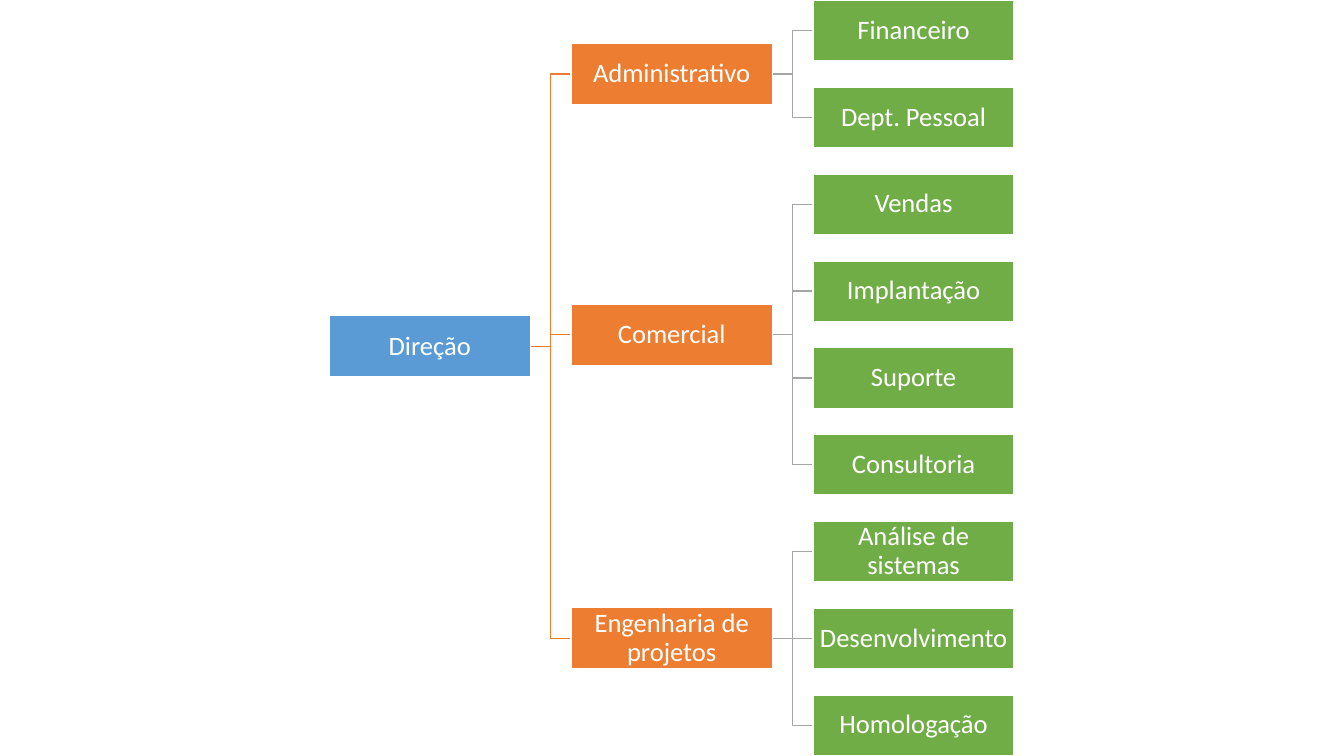
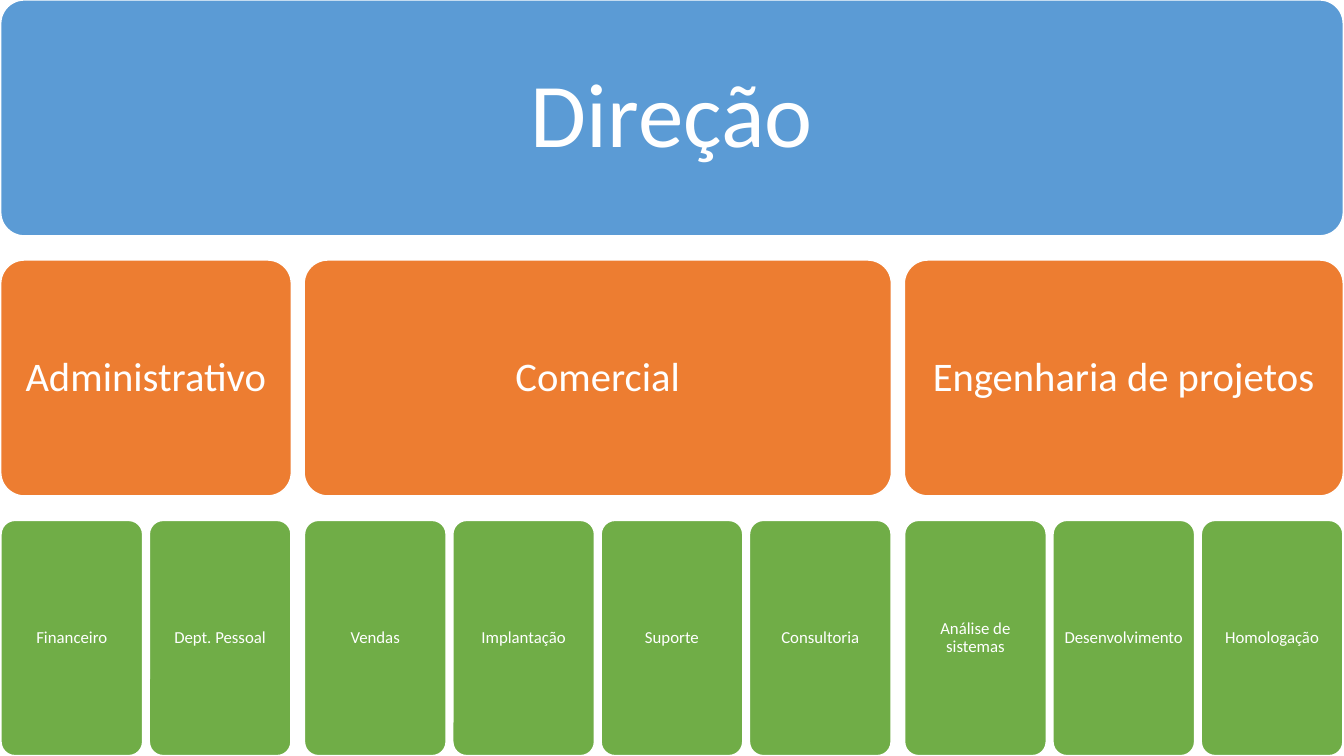
from lxml import etree
from pptx import Presentation
from pptx.dml.color import RGBColor
from pptx.enum.shapes import MSO_CONNECTOR, MSO_SHAPE
from pptx.enum.text import MSO_ANCHOR, PP_ALIGN
from pptx.oxml.ns import qn
from pptx.util import Pt

RECTANGLE, ROUNDED = MSO_SHAPE.RECTANGLE, MSO_SHAPE.ROUNDED_RECTANGLE
ELBOW, STRAIGHT = MSO_CONNECTOR.ELBOW, MSO_CONNECTOR.STRAIGHT
MIDDLE, CENTER = MSO_ANCHOR.MIDDLE, PP_ALIGN.CENTER

# Content
ROOT = "Direção"
BRANCHES = [
    ("Administrativo", ["Financeiro", "Dept. Pessoal"]),
    ("Comercial", ["Vendas", "Implantação", "Suporte", "Consultoria"]),
    ("Engenharia de projetos",
     ["Análise de sistemas", "Desenvolvimento", "Homologação"]),
]
LEAF_COUNT = sum(len(leaves) for _, leaves in BRANCHES)

# Shared style
FONT = "Calibri"
BLUE = RGBColor(0x5B, 0x9B, 0xD5)
ORANGE = RGBColor(0xED, 0x7D, 0x31)
GREEN = RGBColor(0x70, 0xAD, 0x47)
GRAY = RGBColor(0xA5, 0xA5, 0xA5)
WHITE = RGBColor(0xFF, 0xFF, 0xFF)
LEVEL_FILLS = [BLUE, ORANGE, GREEN]
LEVEL_OUTLINES = [1, 1, 1.5]
SLIDE_WIDTH, SLIDE_HEIGHT = 960, 540

# Tree measures
TREE_LEFT, LEVEL_PITCH = 235, 172.8
BOX_WIDTH, BOX_HEIGHT = 144, 43.9
LEAF_PITCH = (SLIDE_HEIGHT - BOX_HEIGHT) / (LEAF_COUNT - 1)
ROOT_TOP = 225.5
TREE_SIZE, TREE_INSET = 19, 0.7

# Block measures
BLOCK_LEFT, BLOCK_WIDTH, ROW_HEIGHT = 0.5, 959, 168.5
ROW_PITCH = (SLIDE_HEIGHT - ROW_HEIGHT) / 2
LEAF_GAP, BRANCH_GAP = 4.3, 9.2
BRANCH_GAPS = len(BRANCHES) - 1
LEAF_GAPS = LEAF_COUNT - len(BRANCHES)
LEAF_WIDTH = (BLOCK_WIDTH - LEAF_GAPS * LEAF_GAP
              - BRANCH_GAPS * BRANCH_GAP) / LEAF_COUNT
BLOCK_SIZES = [65, 29, 12]
BLOCK_INSETS = [19.4, 8.6, 3.6]
CORNER = 0.1


def write_text(shape, text, *, size, inset):
    frame = shape.text_frame
    frame.word_wrap = True
    frame.vertical_anchor = MIDDLE
    frame.margin_left = frame.margin_right = Pt(inset)
    frame.margin_top = frame.margin_bottom = Pt(inset)
    paragraph = frame.paragraphs[0]
    paragraph.alignment = CENTER
    paragraph.line_spacing = 0.9
    run = paragraph.add_run()
    run.text = text
    run.font.name = FONT
    run.font.size = Pt(size)
    run.font.color.rgb = WHITE


def add_box(slide, kind, level, text, left, top, width, height, *, size, inset):
    shape = slide.shapes.add_shape(kind, Pt(left), Pt(top), Pt(width), Pt(height))
    shape.shadow.inherit = False
    shape.fill.solid()
    shape.fill.fore_color.rgb = LEVEL_FILLS[level]
    shape.line.color.rgb = WHITE
    shape.line.width = Pt(LEVEL_OUTLINES[level])
    write_text(shape, text, size=size, inset=inset)
    return shape


def add_tree_box(slide, level, text, top):
    return add_box(slide, RECTANGLE, level, text, TREE_LEFT + level * LEVEL_PITCH,
                   top, BOX_WIDTH, BOX_HEIGHT, size=TREE_SIZE, inset=TREE_INSET)


def add_block(slide, level, text, left, width):
    shape = add_box(slide, ROUNDED, level, text, left, level * ROW_PITCH, width,
                    ROW_HEIGHT, size=BLOCK_SIZES[level], inset=BLOCK_INSETS[level])
    shape.adjustments[0] = CORNER


def join(slide, parent, child, color):
    """Link the right side of the parent to the left side of the child."""
    aligned = abs(parent.top - child.top) < Pt(0.1)
    connector = slide.shapes.add_connector(STRAIGHT if aligned else ELBOW, 0, 0, 0, 0)
    connector.begin_connect(parent, 3)
    connector.end_connect(child, 1)
    connector.line.color.rgb = color
    connector.line.width = Pt(1)
    etree.SubElement(connector._element.spPr, qn("a:effectLst"))
    slide.shapes._spTree.insert(2, connector._element)  # behind the boxes


def build_tree(slide):
    root = add_tree_box(slide, 0, ROOT, ROOT_TOP)
    first = 0
    for name, leaves in BRANCHES:
        middle = first + (len(leaves) - 1) / 2
        branch = add_tree_box(slide, 1, name, middle * LEAF_PITCH)
        join(slide, root, branch, ORANGE)
        for row, leaf_name in enumerate(leaves, first):
            leaf = add_tree_box(slide, 2, leaf_name, row * LEAF_PITCH)
            join(slide, branch, leaf, GRAY)
        first += len(leaves)


def build_blocks(slide):
    add_block(slide, 0, ROOT, BLOCK_LEFT, BLOCK_WIDTH)
    left = BLOCK_LEFT
    for name, leaves in BRANCHES:
        width = len(leaves) * (LEAF_WIDTH + LEAF_GAP) - LEAF_GAP
        add_block(slide, 1, name, left, width)
        for column, leaf_name in enumerate(leaves):
            add_block(slide, 2, leaf_name,
                      left + column * (LEAF_WIDTH + LEAF_GAP), LEAF_WIDTH)
        left += width + BRANCH_GAP


presentation = Presentation()
presentation.slide_width = Pt(SLIDE_WIDTH)
presentation.slide_height = Pt(SLIDE_HEIGHT)
blank_layout = presentation.slide_layouts[6]
for build in (build_tree, build_blocks):
    build(presentation.slides.add_slide(blank_layout))
presentation.save("out.pptx")
